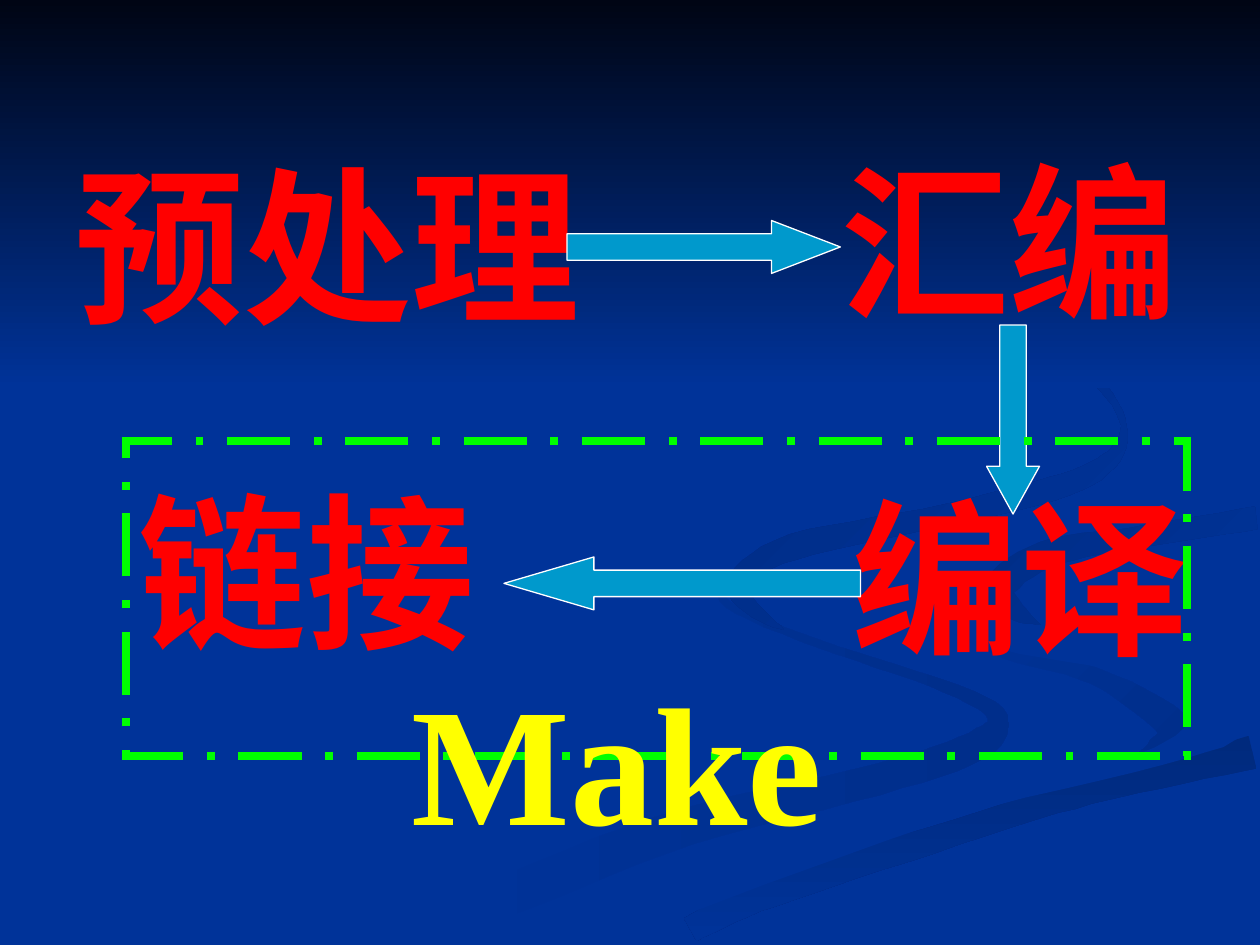
from math import hypot

from lxml.etree import SubElement as Sub
from pptx import Presentation
from pptx.dml.color import RGBColor
from pptx.enum.dml import MSO_LINE as Dash
from pptx.enum.shapes import MSO_SHAPE as Form
from pptx.enum.text import MSO_ANCHOR as Anchor
from pptx.oxml.ns import qn
from pptx.util import Emu, Pt

PX = 9144
WIDE, HIGH = 1000, 750
BLUE, BLACK, CYAN = "003399", "000514", "0099CC"
RED, GREEN, GOLD, WHITE = "FF0000", "00FF00", "FFFF00", "FFFFFF"


def tint(code):
    return RGBColor.from_string(code)


def apply(item, values):
    for key, value in values.items():
        setattr(item, key, value)


def spline(knots, steps=6):
    """Pass a smooth Catmull-Rom curve through every knot."""
    ends = [knots[0], *knots, knots[-1]]
    curve = []
    for quad in zip(ends, ends[1:], ends[2:], ends[3:]):
        for step in range(steps):
            t = step / steps
            curve.append(tuple(
                b + t * (c - a) / 2
                + t * t * (2 * a - 5 * b + 4 * c - d) / 2
                + t ** 3 * (3 * b - a - 3 * c + d) / 2
                for a, b, c, d in zip(*quad)))
    return curve + [knots[-1]]


def ribbon(knots):
    """Widen a curve of (x, y, width) knots into a closed outline."""
    curve = spline(knots)
    left, right = [], []
    for prior, (x, y, width), after in zip(
            curve[:1] + curve, curve, curve[1:] + curve[-1:]):
        dx, dy = after[0] - prior[0], after[1] - prior[1]
        half = width / 2 / hypot(dx, dy)
        left.append((x - dy * half, y + dx * half))
        right.append((x + dy * half, y - dx * half))
    return left + right[::-1]


class Deck:
    font = {"name": "Times New Roman", "size": Pt(96), "bold": True}
    edge = {"width": Pt(4.5), "dash_style": Dash.LONG_DASH_DOT}

    def __init__(self):
        self.prs = Presentation()
        apply(self.prs, {"slide_width": Emu(WIDE * PX), "slide_height": Emu(HIGH * PX)})
        self.slide = self.prs.slides.add_slide(self.prs.slide_layouts[6])
        self.shapes = self.slide.shapes
        self.paint(self.slide.background.fill, BLUE)

    def paint(self, fill, color):
        fill.solid()
        fill.fore_color.rgb = tint(color)

    def fade(self, shape, colors, angle):
        shape.shadow.inherit = False
        shape.line.fill.background()
        shape.fill.gradient()
        shape.fill.gradient_angle = -angle % 360
        for stop, color in zip(shape.fill.gradient_stops, colors):
            stop.color.rgb = tint(color)

    def shape(self, form, box):
        shape = self.shapes.add_shape(form, *(Emu(n * PX) for n in box))
        shape.shadow.inherit = False
        return shape

    def swirl(self, colors, angle, knots):
        start, *rest = ribbon(knots)
        pen = self.shapes.build_freeform(*start, scale=PX)
        pen.add_line_segments(rest, close=True)
        self.fade(pen.convert_to_shape(), colors, angle)

    def band(self, box, colors):
        self.fade(self.shape(Form.RECTANGLE, box), colors, 90)

    def arrow(self, form, box, head):
        shape = self.shape(form, box)
        shape.adjustments[1] = head
        self.paint(shape.fill, CYAN)
        shape.line.color.rgb = tint(WHITE)
        shape.line.width = Pt(0.75)

    def frame(self, box, color):
        shape = self.shape(Form.RECTANGLE, box)
        shape.fill.background()
        shape.line.color.rgb = tint(color)
        apply(shape.line, self.edge)
        Sub(shape.element.spPr.find(qn("a:ln")), qn("a:miter"), lim="800000")

    def text(self, words, box, color, anchor=Anchor.MIDDLE):
        area = self.shapes.add_textbox(*(Emu(n * PX) for n in box)).text_frame
        apply(area, {"word_wrap": True, "vertical_anchor": anchor})
        run = area.paragraphs[0].add_run()
        run.text = words
        apply(run.font, self.font)
        run.font.color.rgb = tint(color)


SWIRLS = {
    "stream": ((BLUE, "002E8B"), 0, [
        (575, 460, 1), (578, 480, 6), (650, 511, 6), (740, 541, 8), (790, 566, 14),
        (775, 592, 24), (696, 619, 24), (546, 656, 30), (420, 704, 32), (350, 736, 24)]),
    "bend": ((BLUE, "002E8B"), 45, [
        (724, 464, 1), (737, 486, 6), (797, 516, 12), (870, 537, 14),
        (930, 575, 25), (918, 594, 16), (894, 605, 1)]),
    "road": (("002A7D", BLUE), 90, [
        (548, 738, 20), (600, 712, 24), (695, 681, 22),
        (821, 641, 19), (903, 620, 19), (994, 597, 26)]),
    "bank": ((BLUE, BLUE), 0, [
        (990, 395, 14), (870, 415, 22), (780, 440, 40), (755, 468, 54), (800, 498, 36),
        (900, 525, 26), (970, 560, 50), (920, 600, 15), (743, 648, 10), (490, 740, 12)]),
    "branch": (("002D86", BLUE), 45, [
        (997, 411, 18), (898, 427, 17), (830, 440, 22),
        (793, 466, 24), (805, 484, 16), (826, 496, 1)]),
    "crest": (("002B82", BLUE), 45, [
        (762, 233, 1), (818, 266, 6), (870, 302, 7), (892, 338, 5), (880, 366, 14),
        (835, 388, 18), (735, 412, 17), (630, 434, 20), (586, 461, 16),
        (597, 483, 12), (622, 500, 1)]),
}

STEPS = {
    "预处理": (50, 108, 450, 170),
    "汇编": (658, 105, 292, 170),
    "编译": (667, 372, 292, 170),
    "链接": (100, 367, 317, 170),
}

ARROWS = [
    (Form.RIGHT_ARROW, (450, 175, 217, 42), 1.3),
    (Form.DOWN_ARROW, (783, 258, 42, 150), 0.9),
    (Form.LEFT_ARROW, (400, 442, 283, 42), 1.7),
]


def main():
    deck = Deck()
    for swirl in SWIRLS.values():
        deck.swirl(*swirl)
    deck.band((0, 0, WIDE, 308), (BLACK, BLUE))
    for words, box in STEPS.items():
        deck.text(words, box, RED)
    for arrow in ARROWS:
        deck.arrow(*arrow)
    deck.frame((100, 350, 842, 250), GREEN)
    deck.text("Make", (317, 517, 367, 330), GOLD, Anchor.TOP)
    deck.prs.save("out.pptx")


if __name__ == "__main__":
    main()
